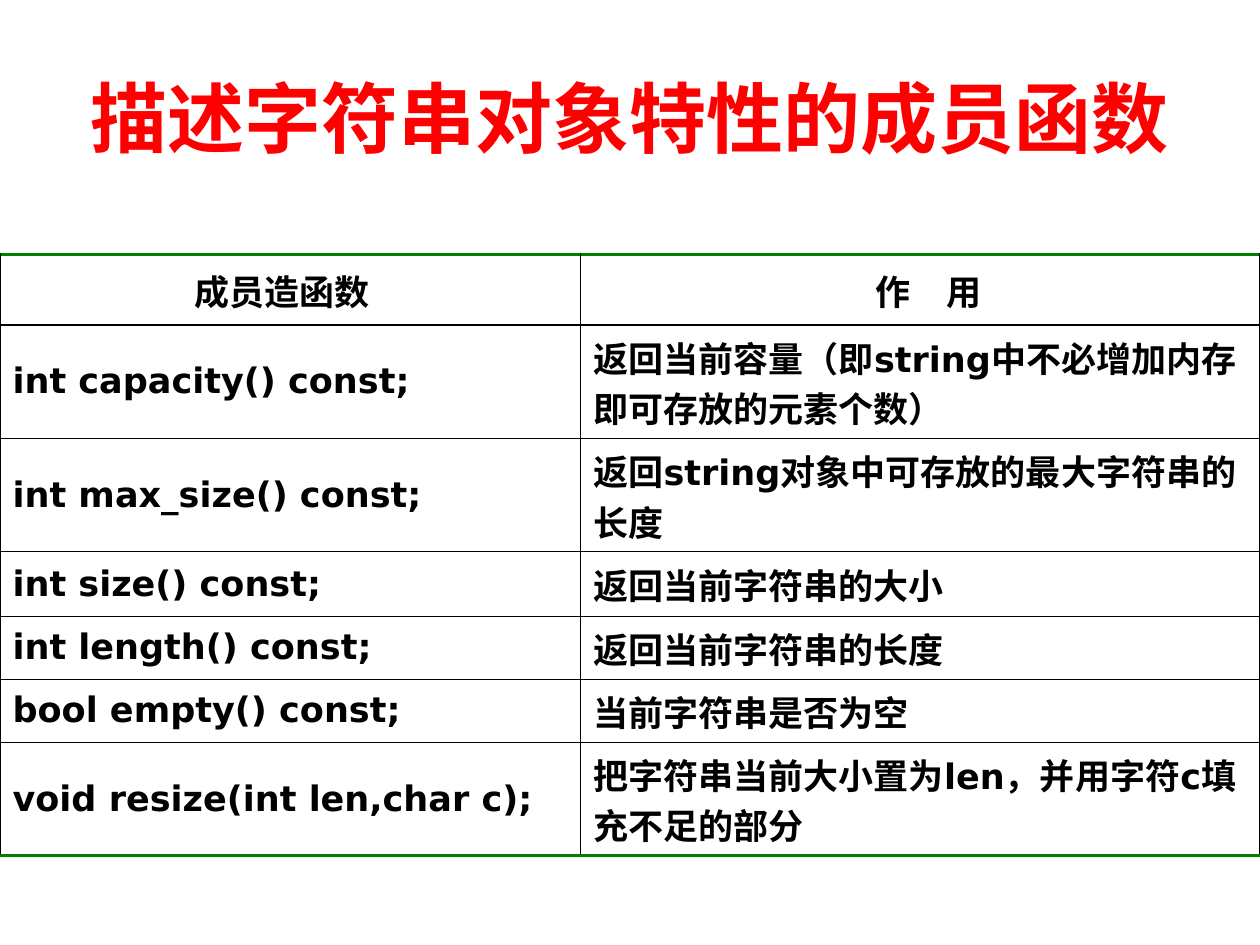
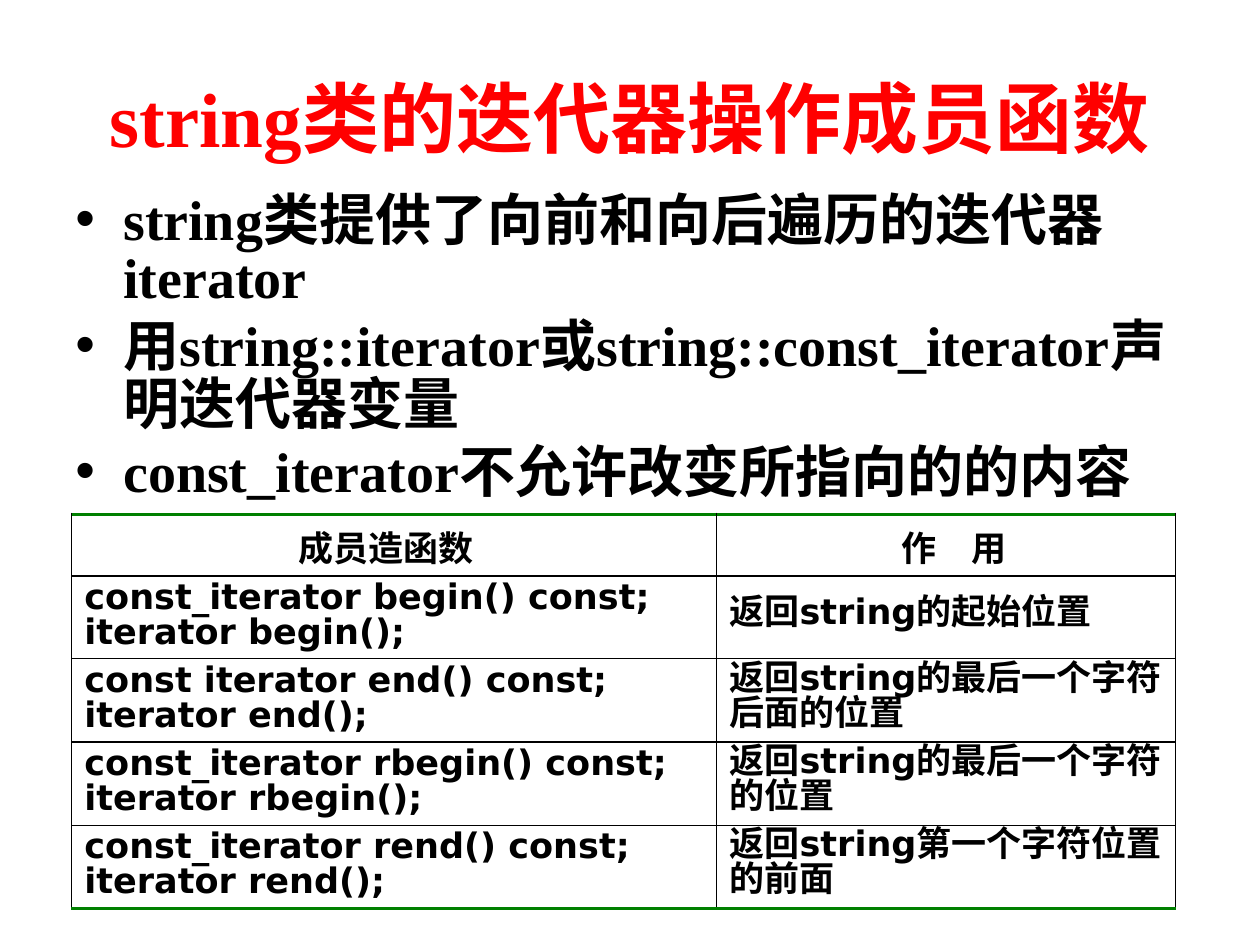
import pptx
import pptx.dml.color
import pptx.enum.text
import pptx.oxml
import pptx.oxml.ns
import pptx.util
from pptx.util import Inches

COLORS = {"title": "FF0000", "text": "000000", "rule": "008000",
          "grid": "000000", "cell": "FFFFFF"}
SERIF, HEAD_FONT, CODE_FONT = "Times New Roman", "Arial", "DejaVu Sans"
HEADERS = ("成员造函数", "作\u3000用")
HEADER_SHIFT = Inches(0.23)
ALIGN = pptx.enum.text.PP_ALIGN
MIDDLE = pptx.enum.text.MSO_ANCHOR.MIDDLE

PROPERTY_ROWS = [
    ("int capacity() const;", "返回当前容量（即string中不必增加内存即可存放的元素个数）"),
    ("int max_size() const;", "返回string对象中可存放的最大字符串的长度"),
    ("int size() const;", "返回当前字符串的大小"),
    ("int length() const;", "返回当前字符串的长度"),
    ("bool empty() const;", "当前字符串是否为空"),
    ("void resize(int len,char c);", "把字符串当前大小置为len，并用字符c填充不足的部分"),
]
ITERATOR_ROWS = [
    ("const_iterator begin() const; iterator begin();", "返回string的起始位置"),
    ("const iterator end() const;\niterator end();", "返回string的最后一个字符后面的位置"),
    ("const_iterator rbegin() const; iterator rbegin();", "返回string的最后一个字符的位置"),
    ("const_iterator rend() const;\niterator rend();", "返回string第一个字符位置的前面"),
]
ITERATOR_POINTS = [
    "string类提供了向前和向后遍历的迭代器iterator",
    "用string::iterator或string::const_iterator声明迭代器变量",
    "const_iterator不允许改变所指向的的内容",
]


def rgb(name):
    return pptx.dml.color.RGBColor.from_string(COLORS[name])


def xml(tag, attrs, inner=""):
    return pptx.oxml.parse_xml(
        f'<a:{tag} {pptx.oxml.ns.nsdecls("a")} {attrs}>{inner}</a:{tag}>')


def style_paragraph(p, font, size, color="text", align=ALIGN.LEFT, spacing=None):
    p.alignment = align
    if spacing:
        p.line_spacing = pptx.util.Pt(spacing)
    for r in p.runs:
        r.font.name = font
        r.font.size = pptx.util.Pt(size)
        r.font.bold = True
        r.font.color.rgb = rgb(color)


def add_text(slide, left, top, width, height, text):
    tf = slide.shapes.add_textbox(
        Inches(left), Inches(top), Inches(width), Inches(height)).text_frame
    tf.word_wrap = True
    tf.text = text
    return tf


def add_title(slide, text):
    tf = add_text(slide, 0.5, 0.3, 9, 1.25, text)
    tf.vertical_anchor = MIDDLE
    style_paragraph(tf.paragraphs[0], SERIF, 44, "title", ALIGN.CENTER)


def add_bullets(slide, points):
    tf = add_text(slide, 0.5, 1.49, 9, 2.61, "\n".join(points))
    for i, p in enumerate(tf.paragraphs):
        pPr = p._p.get_or_add_pPr()
        pPr.set("marL", str(Inches(0.38)))
        pPr.set("indent", str(-Inches(0.38)))
        pPr.append(xml("buFont", 'typeface="Arial"'))
        pPr.append(xml("buChar", 'char="•"'))
        style_paragraph(p, SERIF, 32, spacing=33)
        p.space_before = pptx.util.Pt(3 if i else 0)
        p.space_after = pptx.util.Pt(3)


def set_borders(cell, top, bottom):
    """Draw the four cell edges; top and bottom are (colour name, points)."""
    side = ("grid", 0.75)
    tcPr = cell._tc.get_or_add_tcPr()
    for tag, (color, width) in zip(("lnL", "lnR", "lnT", "lnB"),
                                   (side, side, top, bottom)):
        fill = f'<a:solidFill><a:srgbClr val="{COLORS[color]}"/></a:solidFill>'
        tcPr.append(xml(tag, f'w="{pptx.util.Pt(width)}"', fill))


def add_function_table(slide, left, top, col_widths, row_heights, rows, spacing=None):
    rows = [HEADERS] + rows
    table = slide.shapes.add_table(
        len(rows), len(col_widths), Inches(left), Inches(top),
        Inches(sum(col_widths)), Inches(sum(row_heights))).table
    table.first_row = table.horz_banding = False
    for column, width in zip(table.columns, col_widths):
        column.width = Inches(width)
    for row, height in zip(table.rows, row_heights):
        row.height = Inches(height)

    rule, head_line, thin = ("rule", 2), ("grid", 1), ("grid", 0.75)
    edges = [rule, head_line] + [thin] * (len(rows) - 2) + [rule]
    for i, texts in enumerate(rows):
        for j, text in enumerate(texts):
            cell = table.cell(i, j)
            cell.text = text
            cell.vertical_anchor = MIDDLE
            set_borders(cell, edges[i], edges[i + 1])
            cell.fill.solid()
            cell.fill.fore_color.rgb = rgb("cell")
            for p in cell.text_frame.paragraphs:
                if i == 0:
                    style_paragraph(p, HEAD_FONT, 20, align=ALIGN.CENTER)
                else:
                    style_paragraph(p, CODE_FONT, 20, spacing=spacing)
    table.cell(0, 0).margin_right = HEADER_SHIFT
    table.cell(0, 1).margin_left = HEADER_SHIFT


def main():
    prs = pptx.Presentation()
    prs.slide_width, prs.slide_height = Inches(10), Inches(7.5)
    blank = prs.slide_layouts[6]

    s = prs.slides.add_slide(blank)
    add_title(s, "描述字符串对象特性的成员函数")
    add_function_table(s, 0, 2.02, (4.61, 5.39),
                       (0.56, 0.9, 0.9, 0.51, 0.5, 0.5, 0.9), PROPERTY_ROWS)

    s = prs.slides.add_slide(blank)
    add_title(s, "string类的迭代器操作成员函数")
    add_bullets(s, ITERATOR_POINTS)
    add_function_table(s, 0.57, 4.08, (5.12, 3.64),
                       [0.49] + [0.66] * 4, ITERATOR_ROWS, spacing=20)

    prs.save("out.pptx")


if __name__ == "__main__":
    main()
